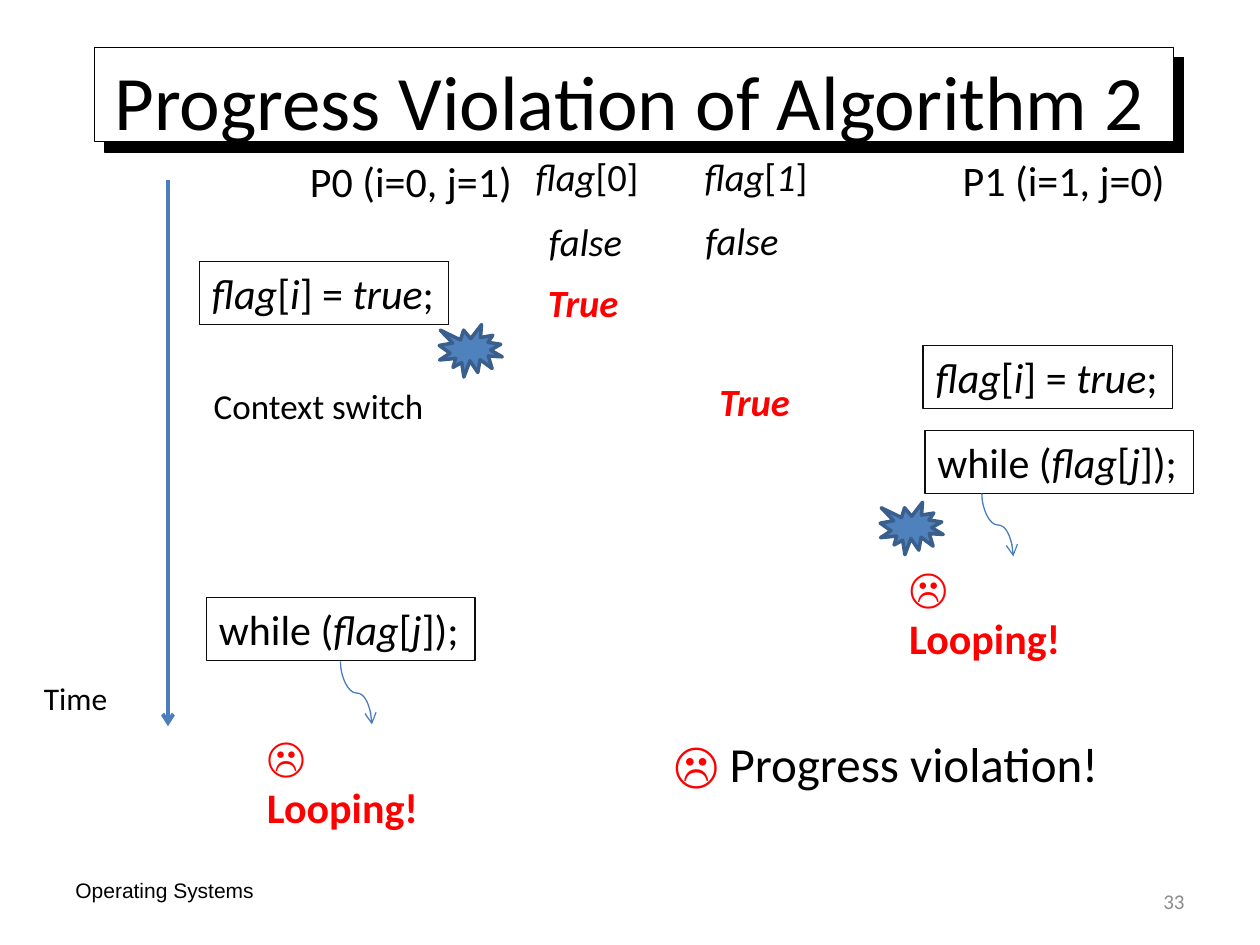
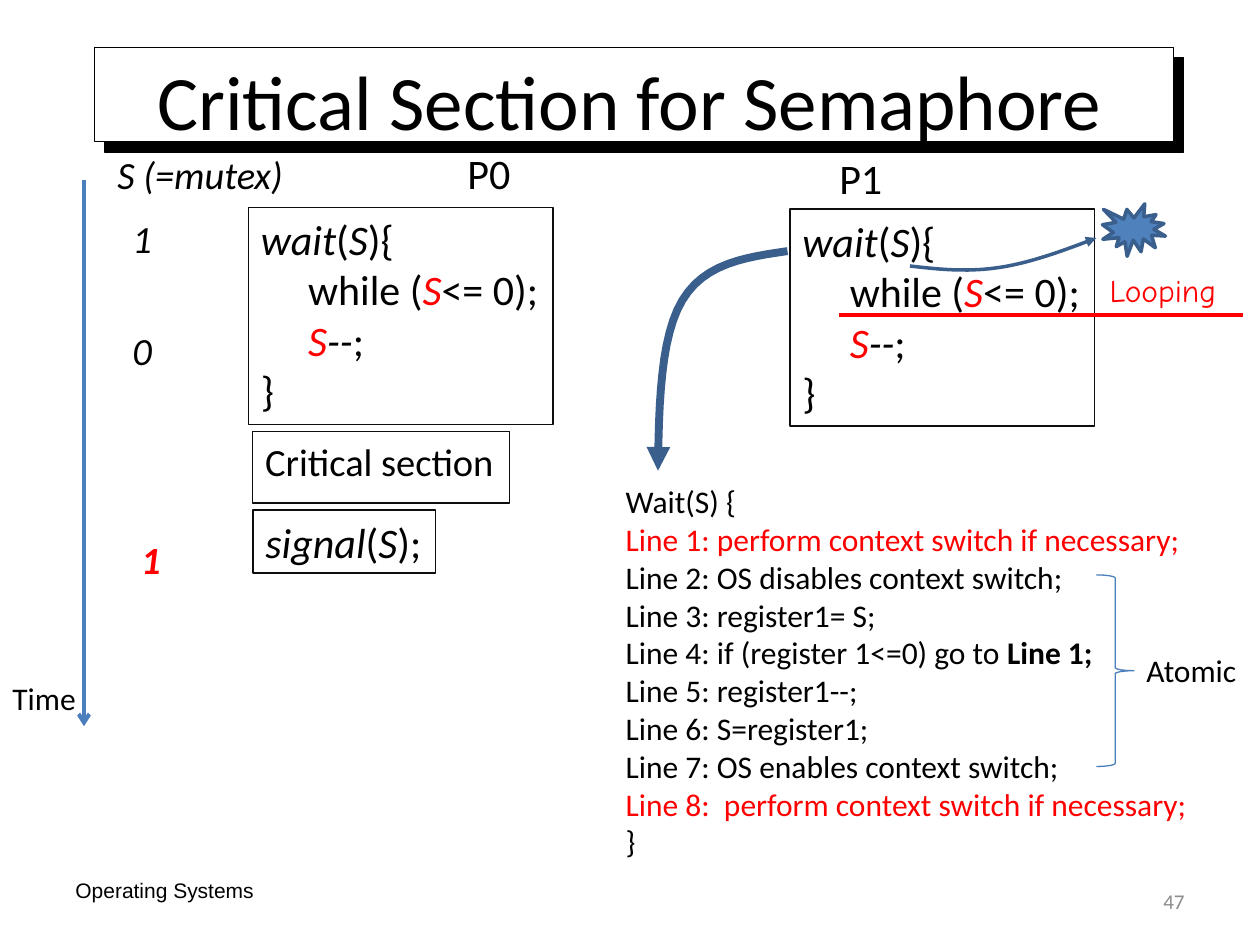
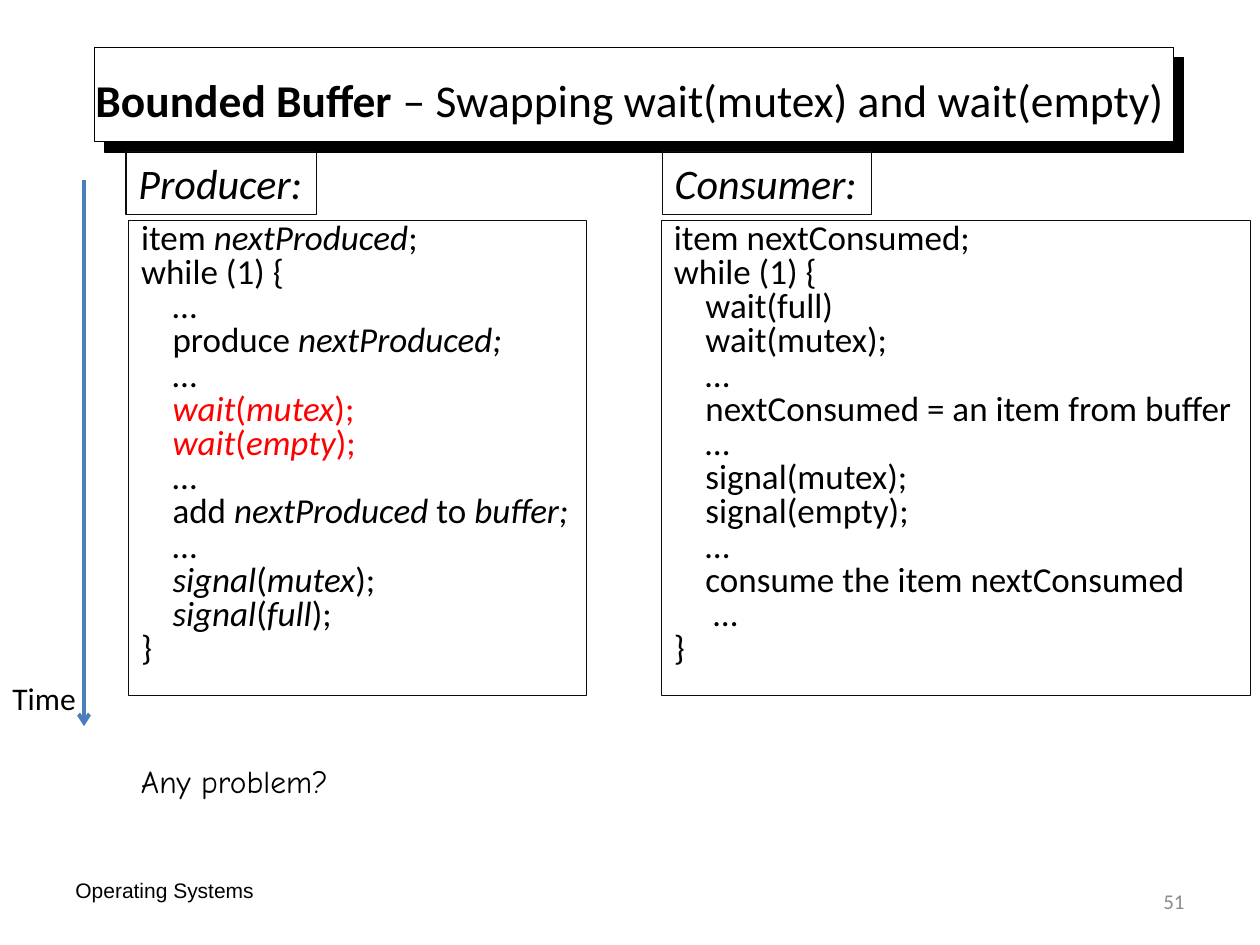
"""Build three operating systems slides on process synchronisation."""
from itertools import groupby

from lxml.etree import SubElement
from pptx import Presentation
from pptx.dml.color import RGBColor
from pptx.enum.shapes import MSO_CONNECTOR, MSO_SHAPE
from pptx.enum.text import MSO_ANCHOR, MSO_AUTO_SIZE, PP_ALIGN
from pptx.oxml.ns import qn
from pptx.util import Pt

BLACK = RGBColor(0x00, 0x00, 0x00)
WHITE = RGBColor(0xFF, 0xFF, 0xFF)
RED = RGBColor(0xFF, 0x00, 0x00)
GREY = RGBColor(0x8C, 0x8C, 0x8C)
BORDER = RGBColor(0x0D, 0x0D, 0x0D)
BLUE = RGBColor(0x4F, 0x81, 0xBD)
LINE_BLUE = RGBColor(0x4B, 0x7E, 0xBC)
DARK_BLUE = RGBColor(0x3A, 0x5F, 0x8C)
HAND_FONT = "Comic Neue"
ITALIC, BOLD, IN_RED = "*~^"
CURVE_STEPS = 12


def style_line(shape, colour, width, arrow=None):
    """Set a plain outline without a theme shadow, with an optional arrowhead."""
    shape.line.color.rgb = colour
    shape.line.width = Pt(width)
    if arrow:
        SubElement(shape.line._get_or_add_ln(), qn("a:tailEnd"), type=arrow)
    properties = shape._element.spPr
    if properties.find(qn("a:effectLst")) is None:
        SubElement(properties, qn("a:effectLst"))


def add_text(slide, box, text, size=24, font="Calibri", colour=BLACK, border=False,
             fixed=False, wrap=False, indent=0, **paragraph_values):
    """Add a text box; * ~ ^ toggle italic, bold and red, a tab indents a line."""
    shape = slide.shapes.add_textbox(*map(Pt, box))
    if border:
        style_line(shape, BORDER, 0.75)
    frame_values = {
        "word_wrap": wrap or fixed,
        "auto_size": MSO_AUTO_SIZE.NONE if fixed else MSO_AUTO_SIZE.SHAPE_TO_FIT_TEXT,
        "vertical_anchor": MSO_ANCHOR.MIDDLE if fixed else MSO_ANCHOR.TOP,
    }
    for name, value in frame_values.items():
        setattr(shape.text_frame, name, value)
    for index, line in enumerate(text.split("\n")):
        frame = shape.text_frame
        paragraph = frame.add_paragraph() if index else frame.paragraphs[0]
        for name, value in paragraph_values.items():
            setattr(paragraph, name, value)
        if line.startswith("\t"):
            paragraph._p.get_or_add_pPr().set("marL", str(Pt(indent)))
        active, characters = frozenset(), []
        for character in line.lstrip("\t"):
            if character in (ITALIC, BOLD, IN_RED):
                active ^= {character}
            else:
                characters.append((active, character))
        for marks, group in groupby(characters, key=lambda pair: pair[0]):
            run = paragraph.add_run()
            run.text = "".join(character for _, character in group)
            font_values = {"name": font, "size": Pt(size),
                           "bold": BOLD in marks, "italic": ITALIC in marks}
            for name, value in font_values.items():
                setattr(run.font, name, value)
            run.font.color.rgb = RED if IN_RED in marks else colour


presentation = Presentation()
presentation.slide_width, presentation.slide_height = Pt(720), Pt(540)

slides = []
for title, title_size, page_number, time_left, arrow_left in [
    ("Progress Violation of Algorithm 2", 44, "33", 18, 96),
    ("Critical Section for Semaphore", 44, "47", 0, 48),
    ("~Bounded Buffer ~– Swapping wait(mutex) and wait(empty)", 26, "51", 0, 48),
]:
    slide = presentation.slides.add_slide(presentation.slide_layouts[6])
    slides.append(slide)
    add_text(slide, (36, 494, 168, 29), "Operating Systems", 12, "Arial", fixed=True)
    band = slide.shapes.add_shape(MSO_SHAPE.RECTANGLE, Pt(54), Pt(27), Pt(616.5), Pt(54))
    band.fill.solid()
    band.fill.fore_color.rgb = WHITE
    style_line(band, BLACK, 0.75)
    shadow = SubElement(band._element.spPr.find(qn("a:effectLst")), qn("a:outerShdw"),
                        dist=str(Pt(8.5)), dir="2700000", algn="ctr", rotWithShape="0")
    SubElement(shadow, qn("a:srgbClr"), val=str(BLACK))
    add_text(slide, (36, 12, 648, 90), title, title_size, fixed=True,
             alignment=PP_ALIGN.CENTER)
    time_arrow = slide.shapes.add_connector(
        MSO_CONNECTOR.STRAIGHT, Pt(arrow_left), Pt(103), Pt(arrow_left), Pt(415))
    style_line(time_arrow, LINE_BLUE, 2.25, "arrow")
    add_text(slide, (time_left, 384.5, 54, 29), "Time", 18)
    add_text(slide, (516, 500.5, 168, 29), page_number, 12, colour=GREY, fixed=True,
             alignment=PP_ALIGN.RIGHT)
progress_slide, semaphore_slide, buffer_slide = slides

for slide, left, top in [
    (progress_slide, 251, 185.5), (progress_slide, 503, 287), (semaphore_slide, 630, 116.5),
]:
    burst = slide.shapes.add_shape(MSO_SHAPE.EXPLOSION1, Pt(left), Pt(top), Pt(36), Pt(30))
    burst.fill.solid()
    burst.fill.fore_color.rgb = BLUE
    style_line(burst, DARK_BLUE, 2)

SET_FLAG = "*flag*[*i*] = *true*;"
TEST_FLAG = "while (*flag*[*j*]);"
for left, top, width, text in [
    (114, 149.5, 142.5, SET_FLAG), (527.5, 197.5, 142.5, SET_FLAG),
    (118, 341.5, 153.5, TEST_FLAG), (528.5, 246, 153.5, TEST_FLAG),
]:
    add_text(progress_slide, (left, top, width, 36), text, border=True)
for left, top, width, text, size in [
    (170, 85.5, 131, "P0 (i=0, j=1)", 24),
    (543, 84.5, 131, "P1 (i=1, j=0)", 24),
    (299, 84, 79, "*flag*[0]", 22),
    (395.5, 84, 79, "*flag*[*1*]", 22),
    (306.5, 121, 57, "*false*", 22),
    (396, 120.5, 57, "*false*", 22),
    (306, 156, 55.5, "*~^True", 22),
    (404, 212.5, 55.5, "*~^True", 22),
    (115, 216, 146, "Context switch", 20),
    (145.5, 414, 133, "~^☹  Looping!", 24),
    (512.5, 317.5, 133, "~^☹  Looping!", 24),
    (378, 415.5, 258, "~^☹ ~^Progress violation!", 28),
]:
    add_text(progress_slide, (left, top, width, size * 1.5), text, size)
for left, top in [(185.5, 387), (552, 291)]:
    loop_arrow = progress_slide.shapes.add_connector(
        MSO_CONNECTOR.CURVE, Pt(left), Pt(top), Pt(left + 36), Pt(top + 18))
    transform = loop_arrow._element.spPr.find(qn("a:xfrm"))
    for name, value in {"rot": "16200000", "flipH": "1"}.items():
        transform.set(name, value)
    style_line(loop_arrow, LINE_BLUE, 0.75, "arrow")

WAIT_CODE = "*wait*(*S*){\n\twhile (^*S*^<= 0);\n\t*^S^--*;\n}"
for left, top, width, height, text, size in [
    (142, 118.5, 174, 124, WAIT_CODE, 24),
    (451.5, 119.5, 174, 124, WAIT_CODE, 24),
    (144.5, 246.5, 146.5, 41, "Critical section", 22),
    (144.5, 291.5, 104.5, 36, "*signal*(*S*);", 24),
]:
    add_text(semaphore_slide, (left, top, width, height), text, size, border=True, indent=27)
for left, top, width, height, text, size, font in [
    (260, 80.5, 39.5, 36, "P0", 24, "Calibri"),
    (472.5, 83.5, 39.5, 36, "P1", 24, "Calibri"),
    (60, 83, 110, 34, "*S (=mutex)", 22, "Calibri"),
    (68.5, 119.5, 26, 34, "*1", 22, "Calibri"),
    (68.5, 183.5, 26, 34, "*0", 22, "Calibri"),
    (73.5, 302.5, 26, 34, "*~^1", 22, "Calibri"),
    (627, 151.5, 78, 29, "^Looping", 18, HAND_FONT),
    (648, 368.5, 66, 29, "Atomic", 18, "Calibri"),
]:
    add_text(semaphore_slide, (left, top, width, height), text, size, font)
add_text(semaphore_slide, (350.5, 272, 360, 225), """Wait(S) {
^Line 1: perform context switch if necessary;
Line 2: OS disables context switch;
Line 3: register1= S;
Line 4: if (register 1<=0) go to ~Line 1;
Line 5: register1--;
Line 6: S=register1;
Line 7: OS enables context switch;
^Line 8:  perform context switch if necessary;
}""", 18, wrap=True)
underline = semaphore_slide.shapes.add_connector(
    MSO_CONNECTOR.STRAIGHT, Pt(479.5), Pt(180), Pt(710.5), Pt(180))
style_line(underline, RED, 2.25)
brace = semaphore_slide.shapes.add_shape(
    MSO_SHAPE.RIGHT_BRACE, Pt(626.5), Pt(328.5), Pt(21.5), Pt(109.5))
brace.fill.background()
style_line(brace, LINE_BLUE, 0.75)
for width, points in [
    (2, [(520, 152), (536.5, 154), (553, 155.5), (570, 153), (588, 150.5), (607, 143.5),
         (626.5, 136)]),
    (4.5, [(450, 143.5), (426, 147), (402.5, 150.5), (390, 171.5), (377.5, 192),
           (376.5, 230.5), (376, 269)]),
]:
    outline = []
    for first in (0, 3):
        for step in range(1, CURVE_STEPS + 1):
            end = step / CURVE_STEPS
            start = 1 - end
            weights = (start ** 3, 3 * start ** 2 * end, 3 * start * end ** 2, end ** 3)
            outline.append(tuple(
                Pt(sum(weight * point[axis]
                       for weight, point in zip(weights, points[first:first + 4])))
                for axis in (0, 1)))
    builder = semaphore_slide.shapes.build_freeform(*map(Pt, points[0]))
    builder.add_line_segments(outline, close=False)
    curve = builder.convert_to_shape()
    curve.fill.background()
    style_line(curve, DARK_BLUE, width, "triangle")

PRODUCER_CODE = """item *nextProduced*;
while (1) {
\t…
\tproduce *nextProduced;
\t…
\t^*wait*(*mutex*);
\t^*wait*(*empty*);
\t…
\tadd *nextProduced* to *buffer;
\t…
\t*signal*(*mutex*);
\t*signal*(*full*);
}"""
CONSUMER_CODE = """item nextConsumed;
while (1) {
\twait(full)
\twait(mutex);
\t…
\tnextConsumed = an item from buffer
\t…
\tsignal(mutex);
\tsignal(empty);
\t…
\tconsume the item nextConsumed
\t …
}"""
for left, width, code, heading_left, heading_width, heading in [
    (73.5, 261.5, PRODUCER_CODE, 72, 109, "*Producer:"),
    (378, 336.5, CONSUMER_CODE, 378.5, 119.5, "*Consumer:"),
]:
    add_text(buffer_slide, (left, 126, width, 271.5), code, 20, border=True, indent=18,
             line_spacing=0.7, space_before=Pt(2.75))
    add_text(buffer_slide, (heading_left, 86.5, heading_width, 36), heading, border=True)
add_text(buffer_slide, (73.5, 432, 129.5, 29), "Any problem?", 18, HAND_FONT)

presentation.save("out.pptx")
